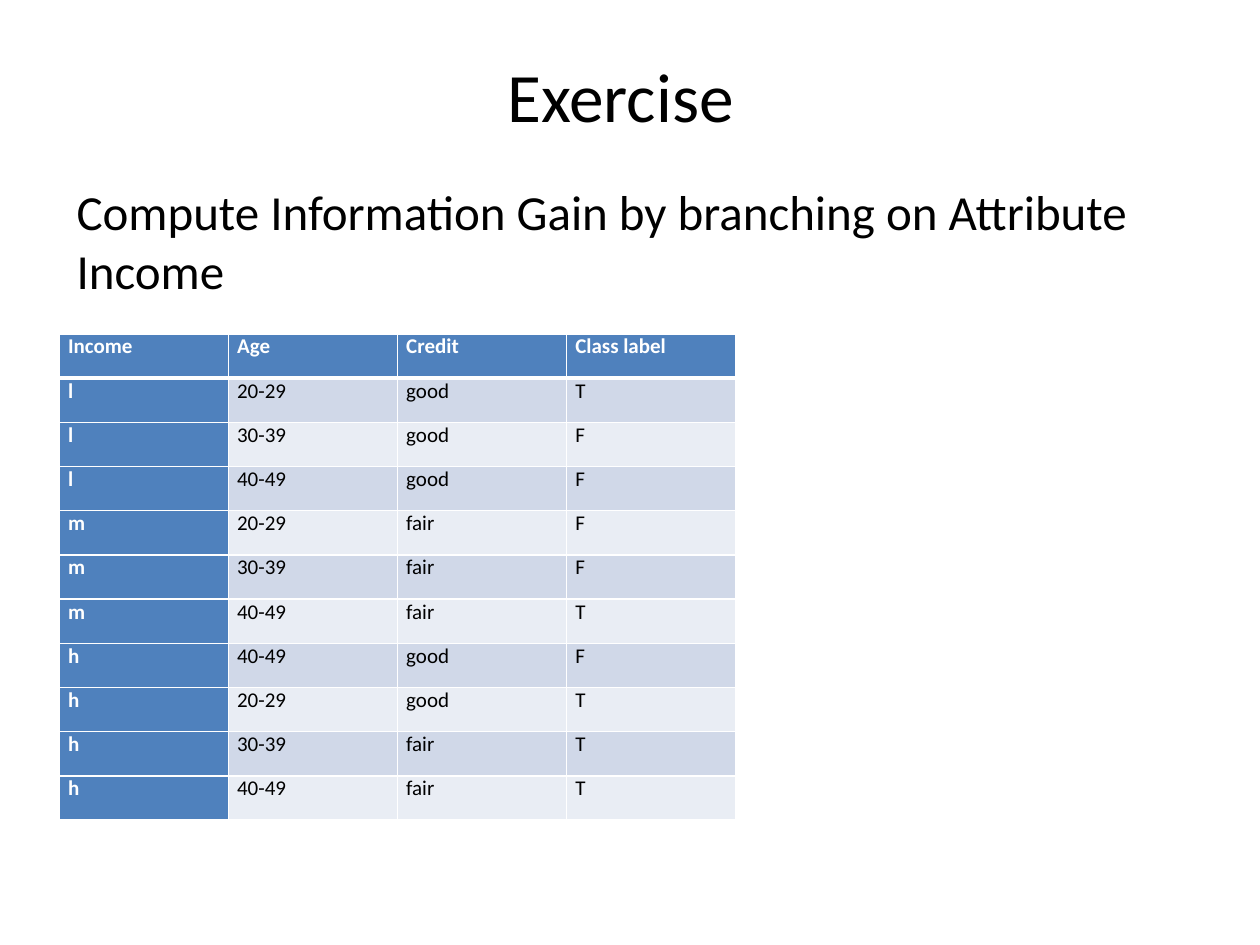
from typing import NamedTuple

from lxml import etree
from pptx import Presentation
from pptx import util as u
from pptx.dml.color import RGBColor
from pptx.enum import text
from pptx.oxml import ns

FONT = "Calibri"
BLACK = RGBColor(0x00, 0x00, 0x00)
WHITE = RGBColor(0xFF, 0xFF, 0xFF)
HEADER_BLUE = RGBColor(0x4F, 0x81, 0xBD)
BANDS = (RGBColor(0xE9, 0xED, 0xF4), RGBColor(0xD0, 0xD8, 0xE8))

THIN, THICK = 1, 3
COLUMN_WIDTH = u.Inches(5.37 / 4)
ROW_HEIGHT = u.Inches(3.86 / 11)


class TextBlock(NamedTuple):
    words: str
    left: float
    top: float
    width: float
    height: float
    size: float
    align: text.PP_ALIGN
    anchor: text.MSO_ANCHOR


class Record(NamedTuple):
    income: str
    age: str
    credit: str
    label: str


BLOCKS = (
    TextBlock("Exercise", 0.33, 0.42, 9.19, 0.67, 39.6,
              text.PP_ALIGN.CENTER, text.MSO_ANCHOR.MIDDLE),
    TextBlock("Compute Information Gain by branching on Attribute Income",
              0.51, 1.39, 9.21, 5.58, 28,
              text.PP_ALIGN.LEFT, text.MSO_ANCHOR.TOP),
)

RECORDS = (
    Record("Income", "Age", "Credit", "Class label"),
    Record("l", "20-29", "good", "T"),
    Record("l", "30-39", "good", "F"),
    Record("l", "40-49", "good", "F"),
    Record("m", "20-29", "fair", "F"),
    Record("m", "30-39", "fair", "F"),
    Record("m", "40-49", "fair", "T"),
    Record("h", "40-49", "good", "F"),
    Record("h", "20-29", "good", "T"),
    Record("h", "30-39", "fair", "T"),
    Record("h", "40-49", "fair", "T"),
)


def style_paragraph(para, size: float, color: RGBColor, align, bold=False) -> None:
    para.alignment = align
    para.font.name = FONT
    para.font.size = u.Pt(size)
    para.font.bold = bold
    para.font.color.rgb = color


def add_text(page, block: TextBlock) -> None:
    box = page.shapes.add_textbox(u.Inches(block.left), u.Inches(block.top),
                                  u.Inches(block.width), u.Inches(block.height))
    frame = box.text_frame
    frame.word_wrap = True
    frame.vertical_anchor = block.anchor
    frame.text = block.words
    style_paragraph(frame.paragraphs[0], block.size, BLACK, block.align)


def add_borders(cell, top: float, bottom: float) -> None:
    properties = cell._tc.get_or_add_tcPr()
    widths = (("a:lnL", THIN), ("a:lnR", THIN), ("a:lnT", top), ("a:lnB", bottom))
    for position, (tag, width) in enumerate(widths):
        line = etree.Element(ns.qn(tag), w=str(u.Pt(width)))
        fill = etree.SubElement(line, ns.qn("a:solidFill"))
        etree.SubElement(fill, ns.qn("a:srgbClr"), val=str(WHITE))
        properties.insert(position, line)


def fill_cell(cell, words: str, row: int, column: int) -> None:
    heading = row == 0 or column == 0
    cell.margin_left = cell.margin_right = u.Inches(0.07)
    cell.margin_top = cell.margin_bottom = 0
    cell.fill.solid()
    cell.fill.fore_color.rgb = HEADER_BLUE if heading else BANDS[row % 2]
    cell.text = words
    style_paragraph(cell.text_frame.paragraphs[0], 12, WHITE if heading else BLACK,
                    text.PP_ALIGN.JUSTIFY, heading)
    add_borders(cell, THICK if row == 1 else THIN, THICK if row == 0 else THIN)


def add_records(page, records: tuple[Record, ...]) -> None:
    rows, columns = len(records), len(Record._fields)
    table = page.shapes.add_table(rows, columns, u.Inches(0.47), u.Inches(2.65),
                                  COLUMN_WIDTH * columns, ROW_HEIGHT * rows).table
    table.first_col = True
    for column in table.columns:
        column.width = COLUMN_WIDTH
    for row, record in enumerate(records):
        table.rows[row].height = ROW_HEIGHT
        for column, words in enumerate(record):
            fill_cell(table.cell(row, column), words, row, column)


def main() -> None:
    deck = Presentation()
    deck.slide_width, deck.slide_height = u.Inches(10), u.Inches(7.5)
    page = deck.slides.add_slide(deck.slide_layouts[6])

    # Title and task
    for block in BLOCKS:
        add_text(page, block)

    # Training records
    add_records(page, RECORDS)

    deck.save("out.pptx")


if __name__ == "__main__":
    main()
